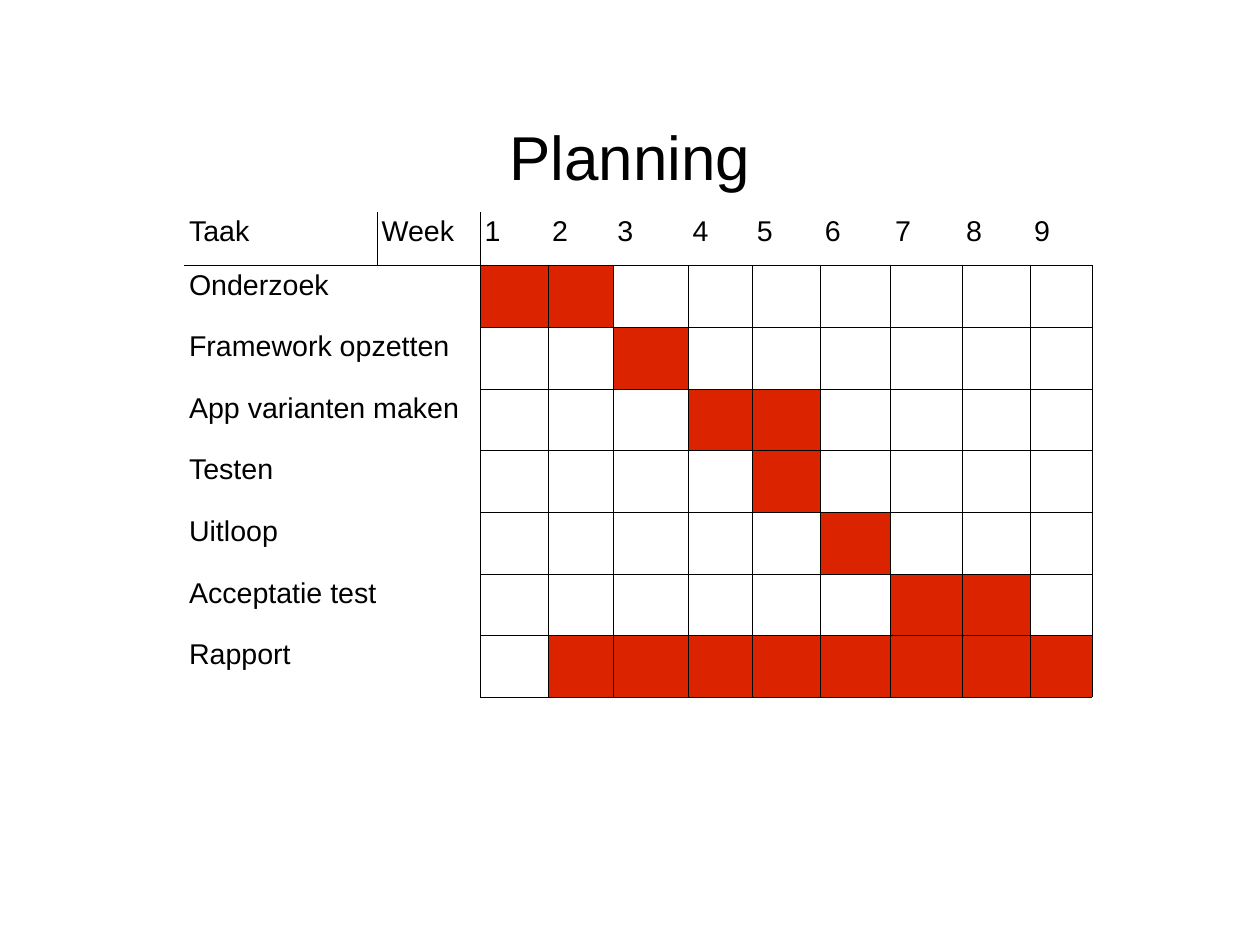
from lxml.etree import SubElement
from pptx import Presentation
from pptx.dml.color import RGBColor
from pptx.enum.text import MSO_ANCHOR, PP_ALIGN
from pptx.oxml.ns import qn
from pptx.util import Cm, Inches, Pt

BLACK, WHITE, RED = "000000", "FFFFFF", "DC2300"
THICK, THIN, CLEAR = (BLACK, 0.45), (BLACK, 0.06), (WHITE, 0.06)
LABEL_COLUMNS = 2
header = ["Taak", "Week", *"123456789"]
tasks = [
    ("Onderzoek", 1, 2),
    ("Framework opzetten", 3, 3),
    ("App varianten maken", 4, 5),
    ("Testen", 5, 5),
    ("Uitloop", 6, 6),
    ("Acceptatie test", 7, 8),
    ("Rapport", 2, 9),
]
column_widths = [4.28, 2.29, 1.5, 1.45, 1.67, 1.43, 1.51, 1.56, 1.58, 1.51, 1.38]
header_height, task_height = 1.19, 1.37


def color(hex_string):
    return RGBColor.from_string(hex_string)


def write(frame, text, size):
    frame.text = text
    para = frame.paragraphs[0]
    para.line_spacing = 0.93
    para.font.name = "Arial"
    para.font.size = Pt(size)
    para.font.color.rgb = color(BLACK)
    return para


deck = Presentation()
deck.slide_width, deck.slide_height = Cm(28), Cm(21)
page = deck.slides.add_slide(deck.slide_layouts[5])

title = page.shapes.title
title.left, title.top = Cm(2.5), Cm(2)
title.width, title.height = Cm(23), Cm(3)
frame = title.text_frame
frame.margin_left = frame.margin_right = frame.margin_bottom = 0
frame.margin_top = Inches(0.04)
frame.vertical_anchor = MSO_ANCHOR.MIDDLE
write(frame, "Planning", 39).alignment = PP_ALIGN.CENTER

table = page.shapes.add_table(
    len(tasks) + 1, len(header), Cm(4.1), Cm(4.71),
    Cm(sum(column_widths)), Cm(header_height + task_height * len(tasks)),
).table
table.first_row = table.horz_banding = False
for column, width in zip(table.columns, column_widths):
    column.width = Cm(width)
for number, row in enumerate(table.rows):
    row.height = Cm(task_height if number else header_height)

for number, label in enumerate(header):
    write(table.cell(0, number).text_frame, label, 18)
for number, (label, first_week, last_week) in enumerate(tasks, 1):
    label_cell = table.cell(number, 0)
    if label != "Uitloop":
        label_cell.merge(table.cell(number, LABEL_COLUMNS - 1))
    write(label_cell.text_frame, label, 18)

for row in range(len(tasks) + 1):
    for column in range(len(header)):
        cell = table.cell(row, column)
        cell.margin_left = cell.margin_right = Inches(0.04)
        cell.margin_top = cell.margin_bottom = Inches(0.05)

        right = column + (cell.span_width if cell.is_merge_origin else 1)
        edges = {}
        for side, edge in (("a:lnL", column), ("a:lnR", right)):
            if edge == LABEL_COLUMNS or (row == 0 and edge == 1):
                edges[side] = THICK
            else:
                edges[side] = THIN if row and edge > LABEL_COLUMNS else CLEAR
        for side, edge in (("a:lnT", row), ("a:lnB", row + 1)):
            if edge == 1:
                edges[side] = THICK
            else:
                edges[side] = THIN if edge and column >= LABEL_COLUMNS else CLEAR

        properties = cell._tc.get_or_add_tcPr()
        for side, (shade, points) in edges.items():
            line = SubElement(properties, qn(side), w=str(Pt(points)))
            solid = SubElement(line, qn("a:solidFill"))
            SubElement(solid, qn("a:srgbClr"), val=shade)

        week = column - LABEL_COLUMNS + 1
        busy = row > 0 and tasks[row - 1][1] <= week <= tasks[row - 1][2]
        cell.fill.solid()
        cell.fill.fore_color.rgb = color(RED if busy else WHITE)

deck.save("out.pptx")
